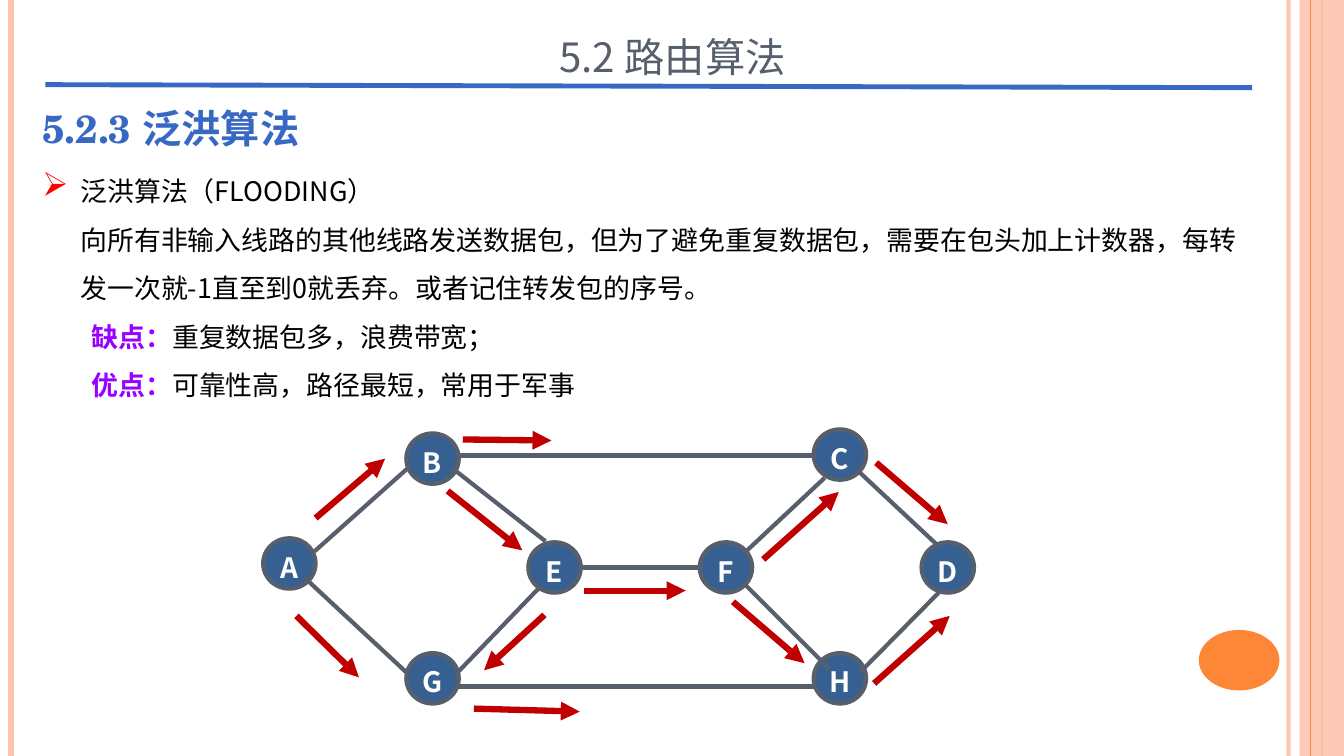
from dataclasses import dataclass

from lxml import etree
from pptx import Presentation
from pptx import util as u
from pptx.dml.color import RGBColor
from pptx.enum import shapes, text
from pptx.oxml import ns

WHITE = RGBColor(0xFF, 0xFF, 0xFF)
BLACK = RGBColor(0x00, 0x00, 0x00)
SLATE = RGBColor(0x57, 0x5F, 0x6D)
BLUE = RGBColor(0x36, 0x68, 0xC4)
NODE_BLUE = RGBColor(0x36, 0x60, 0x92)
DARK_RED = RGBColor(0xC0, 0x00, 0x00)
PURPLE = RGBColor(0x99, 0x00, 0xFF)
ORANGE = RGBColor(0xFE, 0x86, 0x37)
PEACH = RGBColor(0xFE, 0xC3, 0xAE)

SANS = "Noto Sans CJK SC"
SERIF = "TeX Gyre Schola"
NODE_WIDTH, NODE_HEIGHT = 0.52, 0.5


@dataclass(frozen=True)
class Line:
    x1: float
    y1: float
    x2: float
    y2: float
    color: RGBColor = SLATE
    width: float = 3
    arrow: bool = False
    opacity: int = 100


@dataclass(frozen=True)
class Node:
    name: str
    left: float
    top: float


@dataclass(frozen=True)
class BodyLine:
    label: str
    content: str
    margin: float
    bullet: bool = False


STRIPES = [
    Line(12.78, 0, 12.78, 7.5, PEACH, 3, opacity=93),
    Line(0.11, 0, 0.11, 7.5, PEACH, 4.5),
    Line(13.11, 0, 13.11, 7.5, ORANGE, 1.5),
]
BAND_EDGE = Line(13, 0, 13, 7.5, ORANGE, 0.75)
TITLE_RULE = Line(0.45, 0.84, 12.42, 0.87, BLUE, 3.5)

NODES = [
    Node("A", 2.61, 5.34), Node("B", 4.03, 4.3), Node("C", 8.07, 4.26),
    Node("G", 4.03, 6.48), Node("H", 8.07, 6.48), Node("E", 5.24, 5.38),
    Node("F", 6.94, 5.38), Node("D", 9.14, 5.38),
]
LINKS = [
    (3.12, 5.47, 4.05, 4.64), (4.54, 4.52, 8.07, 4.52),
    (3.02, 5.73, 4.03, 6.67), (4.54, 6.67, 5.34, 5.84),
    (5.41, 5.37, 4.48, 4.64), (9.31, 5.42, 8.53, 4.69),
    (8.23, 6.64, 7.4, 5.81), (7.4, 5.47, 8.18, 4.74),
    (8.53, 6.67, 9.31, 5.88), (4.54, 6.81, 8.07, 6.81),
    (5.78, 5.63, 6.94, 5.63),
]
PACKETS = [
    (2.94, 6.11, 3.56, 6.72), (3.13, 5.14, 3.82, 4.55),
    (4.44, 4.87, 5.18, 5.46), (4.59, 4.36, 5.47, 4.37),
    (5.79, 5.86, 6.8, 5.86), (5.4, 6.1, 4.8, 6.65),
    (4.7, 7.03, 5.75, 7.06), (8.69, 4.59, 9.4, 5.2),
    (7.27, 5.97, 7.98, 6.58), (7.57, 5.55, 8.32, 4.88),
    (8.67, 6.78, 9.42, 6.11),
]
BODY = [
    BodyLine("", "泛洪算法（flooding）", 0.38, bullet=True),
    BodyLine("", "向所有非输入线路的其他线路发送数据包，但为了避免重复数据包，"
             "需要在包头加上计数器，每转发一次就-1直至到0就丢弃。"
             "或者记住转发包的序号。", 0.38),
    BodyLine("缺点：", "重复数据包多，浪费带宽；", 0.49),
    BodyLine("优点：", "可靠性高，路径最短，常用于军事", 0.49),
]


def set_opacity(fill_owner, percent: int) -> None:
    color = next(fill_owner.iter(ns.qn("a:srgbClr")))
    etree.SubElement(color, ns.qn("a:alpha")).set("val", str(percent * 1000))


def draw_line(slide, line: Line) -> None:
    connector = slide.shapes.add_connector(
        shapes.MSO_CONNECTOR.STRAIGHT, u.Inches(line.x1), u.Inches(line.y1),
        u.Inches(line.x2), u.Inches(line.y2))
    connector.line.color.rgb = line.color
    connector.line.width = u.Pt(line.width)
    properties = connector._element.spPr
    if line.opacity < 100:
        set_opacity(properties, line.opacity)
    if line.arrow:
        outline = properties.find(ns.qn("a:ln"))
        etree.SubElement(outline, ns.qn("a:tailEnd")).set("type", "triangle")
    etree.SubElement(properties, ns.qn("a:effectLst"))


def add_filled_shape(slide, kind, left: float, top: float, width: float,
                     height: float, color: RGBColor):
    shape = slide.shapes.add_shape(kind, u.Inches(left), u.Inches(top),
                                   u.Inches(width), u.Inches(height))
    shape.shadow.inherit = False
    shape.fill.solid()
    shape.fill.fore_color.rgb = color
    shape.line.fill.background()
    return shape


def style_paragraph(paragraph, size: float, color: RGBColor, spacing: float,
                    name: str = SANS, bold: bool = False,
                    small_caps: bool = False) -> None:
    paragraph.line_spacing = spacing
    font = paragraph.font
    font.size, font.bold, font.name = u.Pt(size), bold, name
    font.color.rgb = color
    defaults = paragraph._p.pPr.find(ns.qn("a:defRPr"))
    etree.SubElement(defaults, ns.qn("a:ea")).set("typeface", SANS)
    if small_caps:
        for run in paragraph.runs:
            run._r.get_or_add_rPr().set("cap", "small")


def draw_node(slide, node: Node) -> None:
    shape = add_filled_shape(slide, shapes.MSO_SHAPE.OVAL, node.left, node.top,
                             NODE_WIDTH, NODE_HEIGHT, NODE_BLUE)
    shape.line.color.rgb = SLATE
    shape.line.width = u.Pt(3)
    frame = shape.text_frame
    frame.word_wrap = False
    frame.vertical_anchor = text.MSO_ANCHOR.MIDDLE
    frame.margin_left = frame.margin_right = u.Inches(0.03)
    frame.margin_top = frame.margin_bottom = u.Inches(0.03)
    paragraph = frame.paragraphs[0]
    paragraph.text = node.name
    paragraph.alignment = text.PP_ALIGN.CENTER
    style_paragraph(paragraph, 20, WHITE, 1.2, bold=True)


def draw_background(slide) -> None:
    for stripe in STRIPES:
        draw_line(slide, stripe)
    band = add_filled_shape(slide, shapes.MSO_SHAPE.RECTANGLE,
                            12.89, 0, 0.44, 7.5, PEACH)
    set_opacity(band._element.spPr, 87)
    draw_line(slide, BAND_EDGE)
    add_filled_shape(slide, shapes.MSO_SHAPE.OVAL, 11.89, 6.25, 0.8, 0.6, ORANGE)


def write_title(slide) -> None:
    title = slide.shapes.title
    title.left, title.top = u.Inches(2.22), u.Inches(0.05)
    title.width, title.height = u.Inches(8.9), u.Inches(0.82)
    frame = title.text_frame
    frame.auto_size = text.MSO_AUTO_SIZE.NONE
    frame.vertical_anchor = text.MSO_ANCHOR.BOTTOM
    paragraph = frame.paragraphs[0]
    paragraph.text = "5.2 路由算法"
    paragraph.alignment = text.PP_ALIGN.CENTER
    style_paragraph(paragraph, 36, SLATE, 1.5, small_caps=True)


def add_text_frame(slide, left: float, top: float, width: float, height: float):
    box = slide.shapes.add_textbox(u.Inches(left), u.Inches(top),
                                   u.Inches(width), u.Inches(height))
    box.text_frame.word_wrap = True
    return box.text_frame


def write_heading(slide) -> None:
    frame = add_text_frame(slide, 0.32, 0.75, 6.28, 0.81)
    frame.vertical_anchor = text.MSO_ANCHOR.BOTTOM
    paragraph = frame.paragraphs[0]
    paragraph.text = "5.2.3 泛洪算法"
    style_paragraph(paragraph, 28, BLUE, 0.9, SERIF, bold=True)


def write_body(slide) -> None:
    frame = add_text_frame(slide, 0.32, 1.52, 12.1, 3.49)
    frame.margin_top = u.Inches(0.07)
    for index, line in enumerate(BODY):
        paragraph = frame.paragraphs[0] if index == 0 else frame.add_paragraph()
        properties = paragraph._p.get_or_add_pPr()
        properties.set("marL", str(u.Inches(line.margin)))
        if line.bullet:
            properties.set("indent", str(-u.Inches(line.margin)))
            color = etree.SubElement(properties, ns.qn("a:buClr"))
            etree.SubElement(color, ns.qn("a:srgbClr")).set("val", "FF0000")
            etree.SubElement(properties, ns.qn("a:buChar")).set("char", "➢")
        if line.label:
            label = paragraph.add_run()
            label.text = line.label
            label.font.bold = True
            label.font.color.rgb = PURPLE
        paragraph.add_run().text = line.content
        style_paragraph(paragraph, 24, BLACK, 1.2, small_caps=True)


def main() -> None:
    presentation = Presentation()
    presentation.slide_width, presentation.slide_height = u.Inches(13.33), u.Inches(7.5)
    slide = presentation.slides.add_slide(presentation.slide_layouts[5])
    draw_background(slide)
    write_body(slide)
    for node in NODES:
        draw_node(slide, node)
    for link in LINKS:
        draw_line(slide, Line(*link))
    for packet in PACKETS:
        draw_line(slide, Line(*packet, DARK_RED, 4.5, arrow=True))
    write_heading(slide)
    write_title(slide)
    draw_line(slide, TITLE_RULE)
    presentation.save("out.pptx")


if __name__ == "__main__":
    main()
